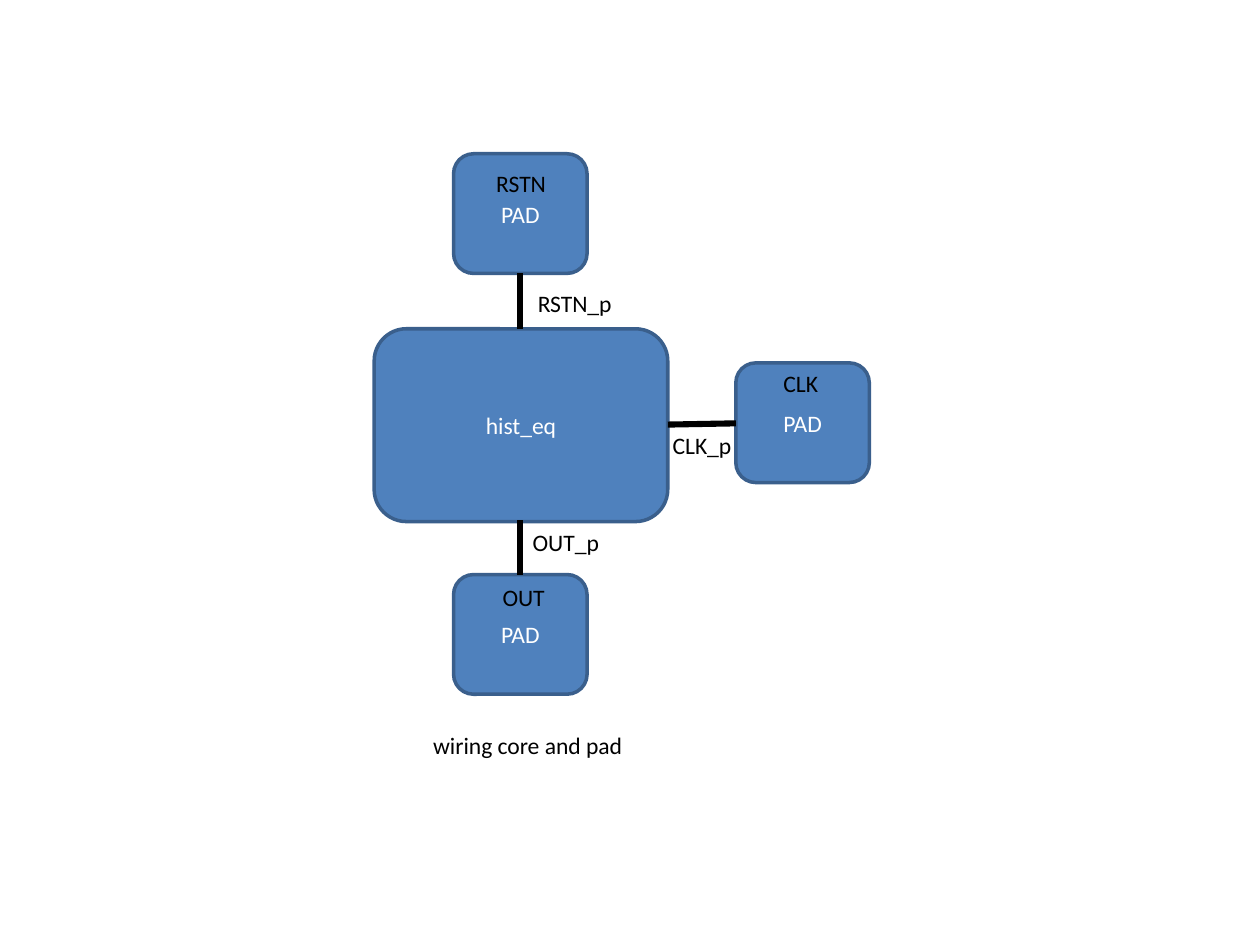
from pptx import Presentation
from pptx.dml.color import RGBColor
from pptx.enum.shapes import MSO_CONNECTOR as Connector, MSO_SHAPE as Shape
from pptx.enum.text import MSO_ANCHOR as Anchor, MSO_AUTO_SIZE as AutoSize, PP_ALIGN as Align
from pptx.oxml.ns import qn
from pptx.util import Inches, Pt
from lxml import etree

BLACK, WHITE = "000000", "FFFFFF"
PAD_WIDTH, PAD_HEIGHT = 1.06, 0.95
LABEL_HEIGHT = 0.33


def color(hex_code):
    return RGBColor.from_string(hex_code)


def write(frame, wording, hex_code, align):
    frame.word_wrap = True
    line = frame.paragraphs[0]
    line.text = wording
    line.alignment = align
    line.font.name = "Calibri"
    line.font.size = Pt(13.5)
    line.font.color.rgb = color(hex_code)


def add_block(slide, wording, left, top, width, height):
    block = slide.shapes.add_shape(
        Shape.ROUNDED_RECTANGLE, Inches(left), Inches(top), Inches(width), Inches(height))
    block.shadow.inherit = False
    block.fill.solid()
    block.fill.fore_color.rgb = color("4F81BD")
    block.line.color.rgb = color("3A5F8C")
    block.line.width = Pt(2)
    block.text_frame.vertical_anchor = Anchor.MIDDLE
    write(block.text_frame, wording, WHITE, Align.CENTER)


def add_label(slide, wording, left, top, width):
    label = slide.shapes.add_textbox(
        Inches(left), Inches(top), Inches(width), Inches(LABEL_HEIGHT))
    write(label.text_frame, wording, BLACK, Align.LEFT)
    label.text_frame.auto_size = AutoSize.SHAPE_TO_FIT_TEXT


def add_wire(slide, x1, y1, x2, y2):
    wire = slide.shapes.add_connector(
        Connector.STRAIGHT, Inches(x1), Inches(y1), Inches(x2), Inches(y2))
    wire.line.color.rgb = color(BLACK)
    wire.line.width = Pt(3.5)
    etree.SubElement(wire._element.spPr, qn("a:effectLst"))


def main():
    deck = Presentation()
    deck.slide_width, deck.slide_height = Inches(10), Inches(7.5)
    slide = deck.slides.add_slide(deck.slide_layouts[6])

    add_block(slide, "hist_eq", 2.97, 2.61, 2.33, 1.53)
    for left, top in ((3.6, 1.22), (5.84, 2.88), (3.6, 4.56)):
        add_block(slide, "PAD", left, top, PAD_WIDTH, PAD_HEIGHT)

    for net, left, top in (("RSTN_p", 4.17, 2.24), ("CLK_p", 5.24, 3.37), ("OUT_p", 4.13, 4.14)):
        add_label(slide, net, left, top, 0.83)
    for pin, left, top in (("RSTN", 3.84, 1.29), ("CLK", 6.12, 2.88), ("OUT", 3.89, 4.58)):
        add_label(slide, pin, left, top, 0.66)

    add_wire(slide, 4.13, 2.17, 4.13, 2.61)
    add_wire(slide, 4.13, 4.13, 4.13, 4.56)
    add_wire(slide, 5.3, 3.37, 5.84, 3.36)

    add_label(slide, "wiring core and pad", 3.34, 5.75, 5.3)
    deck.save("out.pptx")


if __name__ == "__main__":
    main()
